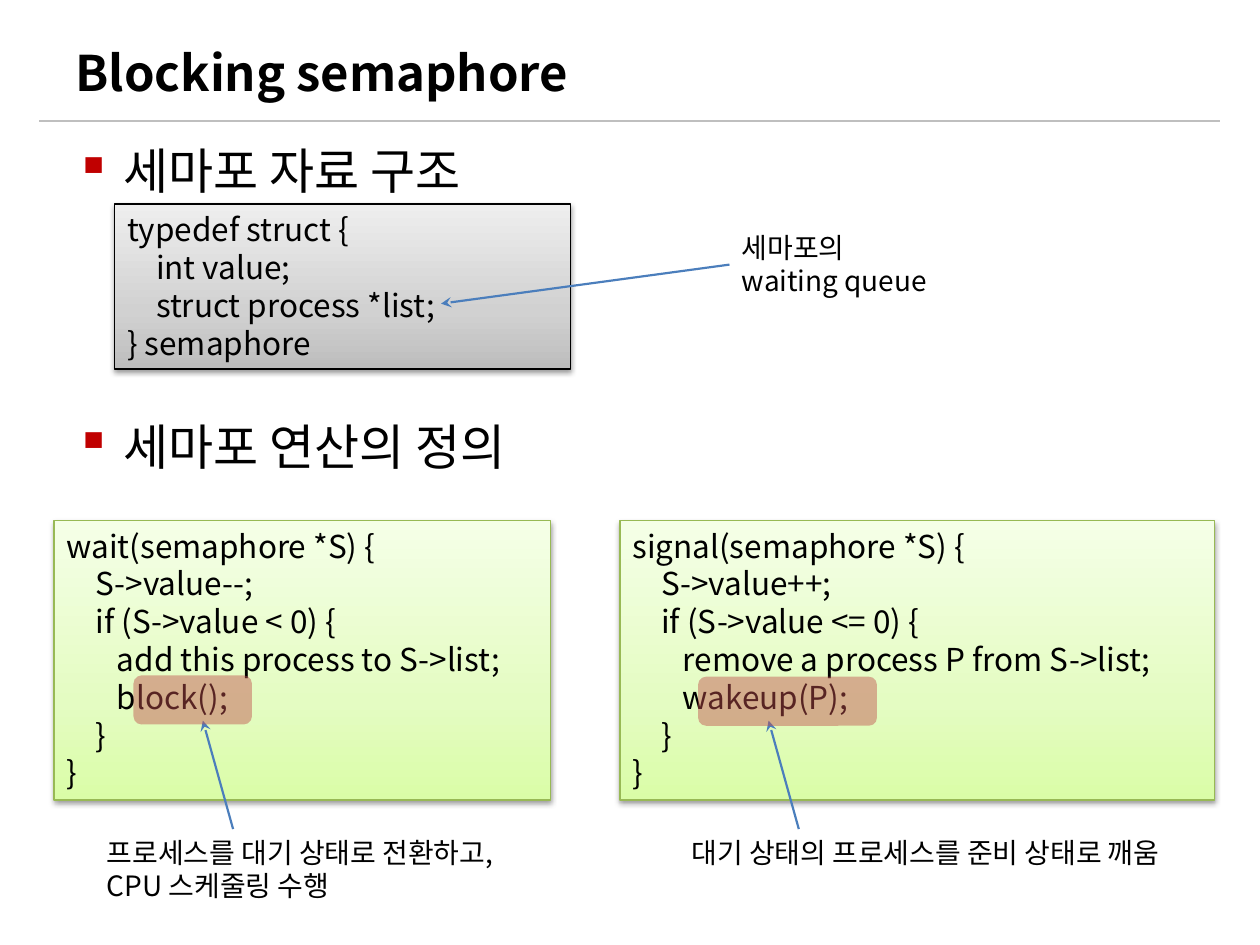
from dataclasses import dataclass

from lxml.etree import SubElement
from pptx import Presentation
from pptx.dml.color import RGBColor
from pptx.enum.shapes import MSO_CONNECTOR, MSO_SHAPE
from pptx.enum.text import MSO_ANCHOR, PP_ALIGN
from pptx.oxml.ns import qn
from pptx.util import Inches, Pt


@dataclass(frozen=True)
class Theme:
    font: str = "Noto Sans CJK KR"
    ink: str = "000000"
    rule: str = "BFBFBF"
    bullet: str = "C00000"
    arrow: str = "4B7EBC"
    highlight: str = "C0504D"
    green_line: str = "98B955"
    grays: tuple = ("BDBDBD", "D1D1D1", "EEEEEE")
    greens: tuple = ("DAFDA7", "E4FCC2", "F5FFE7")
    heading: int = 28
    code: int = 18
    note: int = 16
    leading: float = 1.2


THEME = Theme()
GRADIENT_POSITIONS = (0, 35, 100)
CODE_INDENTS = (0, 0.23, 0.4)


@dataclass(frozen=True)
class Frame:
    left: float
    top: float
    width: float
    height: float

    def lengths(self) -> list:
        return [Inches(v) for v in (self.left, self.top, self.width, self.height)]


@dataclass(frozen=True)
class CodeBox:
    frame: Frame
    lines: tuple  # (indent level, text)
    colors: tuple
    outline: str


@dataclass(frozen=True)
class Operation:
    code: CodeBox
    highlight: Frame
    caption: str
    caption_frame: Frame
    arrow_start: tuple
    arrow_end: tuple


def style_paragraph(para, size: int, bold: bool = False) -> None:
    para.alignment = PP_ALIGN.LEFT
    para.line_spacing = Pt(size * THEME.leading)
    font = para.font
    font.name, font.size, font.bold = THEME.font, Pt(size), bold
    font.color.rgb = RGBColor.from_string(THEME.ink)
    east_asian = SubElement(font._element, qn("a:ea"))
    east_asian.set("typeface", THEME.font)


def set_indent(para, left: float, first: float = 0) -> None:
    properties = para._p.get_or_add_pPr()
    properties.set("marL", str(Inches(left)))
    properties.set("indent", str(Inches(first)))


def add_text(page, frame: Frame, text: str, size: int, bold: bool = False):
    box = page.shapes.add_textbox(*frame.lengths())
    box.text_frame.word_wrap = True
    para = box.text_frame.paragraphs[0]
    para.text = text
    style_paragraph(para, size, bold)
    return box


def add_bullets(page, frame: Frame, items: tuple, gap: float) -> None:
    box = page.shapes.add_textbox(*frame.lengths())
    box.text_frame.word_wrap = True
    for index, item in enumerate(items):
        para = box.text_frame.paragraphs[0] if index == 0 else box.text_frame.add_paragraph()
        para.text = item
        para.space_before = Pt(gap if index else 0)
        style_paragraph(para, THEME.heading)
        set_indent(para, 0.38, -0.38)
        properties = para._p.pPr
        defaults = properties.find(qn("a:defRPr"))
        color = SubElement(properties, qn("a:buClr"))
        SubElement(color, qn("a:srgbClr")).set("val", THEME.bullet)
        mark = SubElement(properties, qn("a:buChar"))
        mark.set("char", "▪")
        defaults.addprevious(color)
        defaults.addprevious(mark)


def add_gradient(shape, colors: tuple) -> None:
    """Fill from bottom to top with three stops."""
    shape.fill.gradient()
    shape.fill.gradient_angle = 90
    stops = shape._element.spPr.find(".//" + qn("a:gsLst"))
    for stop in list(stops):
        stops.remove(stop)
    for position, color in zip(GRADIENT_POSITIONS, colors):
        stop = SubElement(stops, qn("a:gs"))
        stop.set("pos", str(position * 1000))
        SubElement(stop, qn("a:srgbClr")).set("val", color)


def add_soft_shadow(shape) -> None:
    shape.shadow.inherit = False
    effects = shape._element.spPr.find(qn("a:effectLst"))
    shadow = SubElement(effects, qn("a:outerShdw"))
    for name, value in (("blurRad", Pt(3.1)), ("dist", Pt(1.6)), ("dir", 5400000)):
        shadow.set(name, str(value))
    shadow.set("rotWithShape", "0")
    color = SubElement(shadow, qn("a:srgbClr"))
    color.set("val", "000000")
    SubElement(color, qn("a:alpha")).set("val", "38000")


def add_code(page, code: CodeBox) -> None:
    box = page.shapes.add_shape(MSO_SHAPE.RECTANGLE, *code.frame.lengths())
    add_gradient(box, code.colors)
    box.line.color.rgb = RGBColor.from_string(code.outline)
    box.line.width = Pt(0.75)
    add_soft_shadow(box)
    text = box.text_frame
    text.word_wrap = True
    text.vertical_anchor = MSO_ANCHOR.TOP
    for index, (level, line) in enumerate(code.lines):
        para = text.paragraphs[0] if index == 0 else text.add_paragraph()
        para.text = line
        style_paragraph(para, THEME.code)
        set_indent(para, CODE_INDENTS[level])


def add_line(page, start: tuple, end: tuple, color: str, width: float, arrow: bool = False):
    line = page.shapes.add_connector(
        MSO_CONNECTOR.STRAIGHT, *[Inches(v) for v in (*start, *end)])
    line.line.color.rgb = RGBColor.from_string(color)
    line.line.width = Pt(width)
    if arrow:
        SubElement(line.line._get_or_add_ln(), qn("a:tailEnd")).set("type", "stealth")
    SubElement(line._element.spPr, qn("a:effectLst"))
    return line


def add_highlight(page, frame: Frame) -> None:
    shape = page.shapes.add_shape(MSO_SHAPE.ROUNDED_RECTANGLE, *frame.lengths())
    shape.shadow.inherit = False
    shape.line.fill.background()
    shape.fill.solid()
    shape.fill.fore_color.rgb = RGBColor.from_string(THEME.highlight)
    color = shape._element.spPr.find(".//" + qn("a:srgbClr"))
    SubElement(color, qn("a:alpha")).set("val", "46000")


def operation_lines(name: str, step: str, test: str, action: str, call: str) -> tuple:
    return ((0, f"{name}(semaphore *S) {{"), (1, f"S->value{step};"),
            (1, f"if (S->value {test} 0) {{"), (2, action), (2, call), (1, "}"), (0, "}"))


STRUCT = CodeBox(
    Frame(0.91, 1.62, 3.62, 1.31),
    ((0, "typedef struct {"), (1, "int value;"),
     (1, "struct process *list;"), (0, "} semaphore")),
    THEME.grays, THEME.ink)

OPERATIONS = (
    Operation(
        CodeBox(Frame(0.43, 4.13, 3.94, 2.22),
                operation_lines("wait", "--", "<", "add this process to S->list;", "block();"),
                THEME.greens, THEME.green_line),
        Frame(1.06, 5.36, 0.94, 0.39),
        "프로세스를 대기 상태로 전환하고, CPU 스케줄링 수행",
        Frame(0.75, 6.58, 3.62, 0.64), (1.85, 6.58), (1.61, 5.72)),
    Operation(
        CodeBox(Frame(4.92, 4.13, 4.72, 2.22),
                operation_lines("signal", "++", "<=", "remove a process P from S->list;",
                                "wakeup(P);"),
                THEME.greens, THEME.green_line),
        Frame(5.54, 5.37, 1.42, 0.39),
        "대기 상태의 프로세스를 준비 상태로 깨움",
        Frame(5.39, 6.58, 4.02, 0.64), (6.34, 6.58), (6.1, 5.72)),
)


def main() -> None:
    deck = Presentation()
    deck.slide_width, deck.slide_height = Inches(10), Inches(7.5)
    page = deck.slides.add_slide(deck.slide_layouts[6])

    add_line(page, (0.31, 0.96), (9.68, 0.96), THEME.rule, 0.75)
    title = add_text(page, Frame(0.5, 0.3, 9, 0.54), "Blocking semaphore", THEME.heading, True)
    title.text_frame.vertical_anchor = MSO_ANCHOR.MIDDLE
    add_bullets(page, Frame(0.5, 1.07, 9, 5.91), ("세마포 자료 구조", "세마포 연산의 정의"), 123.6)

    add_code(page, STRUCT)
    note = add_text(page, Frame(5.79, 1.78, 1.89, 0.64), "세마포의\vwaiting queue", THEME.note)
    pointer = add_line(page, (5.79, 2.1), (3.5, 2.41), THEME.arrow, 1.25, arrow=True)
    pointer.begin_connect(note, 1)

    for operation in OPERATIONS:
        add_code(page, operation.code)
        add_text(page, operation.caption_frame, operation.caption, THEME.note)
        add_line(page, operation.arrow_start, operation.arrow_end, THEME.arrow, 1.25, arrow=True)
        add_highlight(page, operation.highlight)

    deck.save("out.pptx")


if __name__ == "__main__":
    main()
